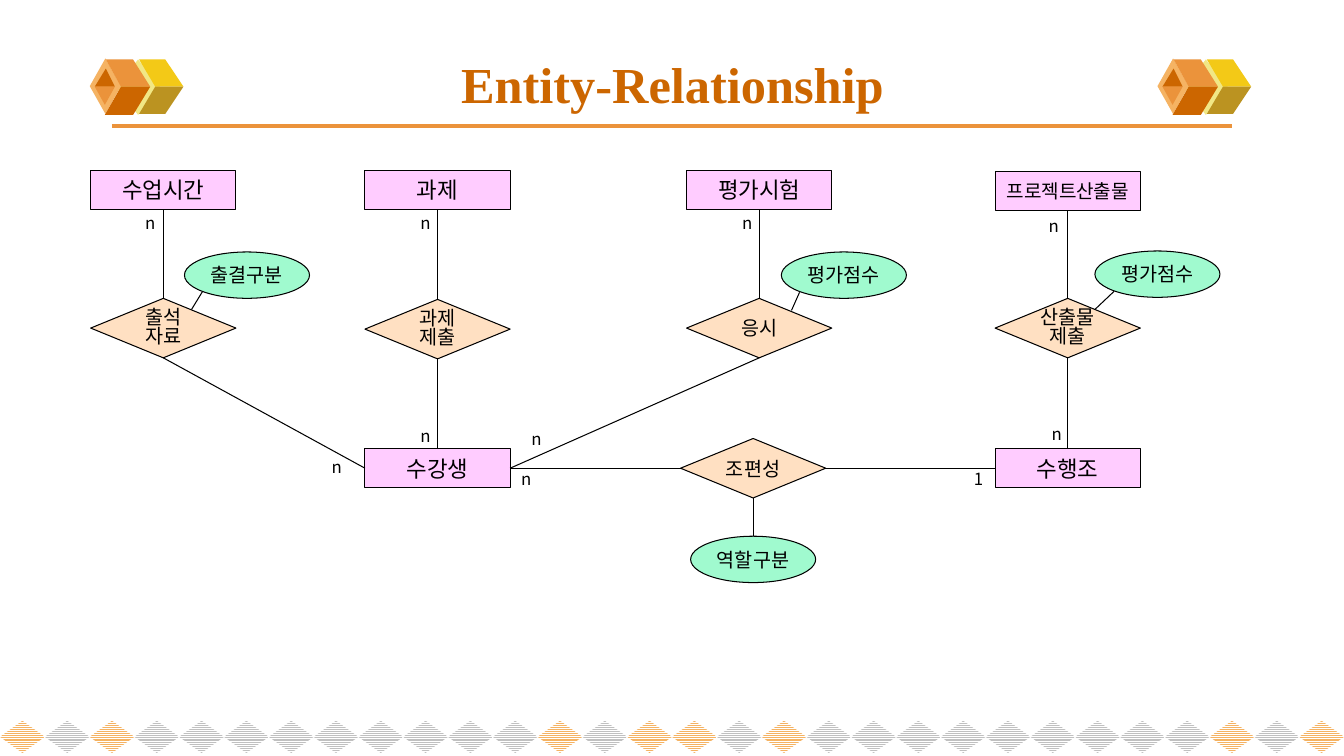
from dataclasses import dataclass

from lxml.etree import SubElement
from pptx import Presentation
from pptx.dml.color import RGBColor
from pptx.enum.dml import MSO_PATTERN
from pptx.enum.shapes import MSO_CONNECTOR, MSO_SHAPE
from pptx.enum.text import MSO_ANCHOR, PP_ALIGN
from pptx.oxml.ns import qn
from pptx.util import Inches, Pt


@dataclass(frozen=True)
class Theme:
    """Colours, fonts and type sizes of the deck."""
    title_font: str = "Times New Roman"
    body_font: str = "Noto Sans CJK KR"
    title_size: float = 36
    entity_size: float = 16
    long_entity_size: float = 13.6
    node_size: float = 14
    label_size: float = 12
    ink: str = "000000"
    paper: str = "FFFFFF"
    entity: str = "FFCCFF"
    relation: str = "FFE0C2"
    attribute: str = "A0FACF"
    rust: str = "CC6600"
    orange: str = "EB933B"
    apricot: str = "F5B363"
    cream: str = "F1E785"
    yellow: str = "F3C917"
    olive: str = "BB9321"
    grey: str = "C0C0C0"


@dataclass(frozen=True)
class Box:
    """A rectangle in inches."""
    left: float
    top: float
    width: float
    height: float

    def inside(self, left, top, width, height):
        """Return a box placed relative to this one."""
        return Box(self.left + left, self.top + top, width, height)

    def lengths(self):
        """Return the four lengths for python-pptx."""
        return [Inches(n) for n in (self.left, self.top, self.width, self.height)]


THEME = Theme()
TOP, LEFT, BOTTOM, RIGHT = range(4)


def rgb(colour):
    """Turn a hex string into a colour."""
    return RGBColor.from_string(colour)


def set_font(para, size, colour=THEME.ink, name=THEME.body_font):
    """Format the font of a paragraph, East Asian face included."""
    para.font.size = Pt(size)
    para.font.name = name
    para.font.color.rgb = rgb(colour)
    SubElement(para.font._element, qn("a:ea"), typeface=name)


def add_plain(page, kind, box, colour):
    """Add a flat shape without outline or shadow."""
    shape = page.shapes.add_shape(kind, *box.lengths())
    shape.shadow.inherit = False
    shape.fill.solid()
    shape.fill.fore_color.rgb = rgb(colour)
    shape.line.fill.background()
    return shape


def add_node(page, kind, box, colour, text, size):
    """Add an outlined diagram node with centred text."""
    node = add_plain(page, kind, box, colour)
    node.line.color.rgb = rgb(THEME.ink)
    node.line.width = Pt(0.75)
    frame = node.text_frame
    frame.word_wrap = False
    frame.vertical_anchor = MSO_ANCHOR.MIDDLE
    frame.margin_left = frame.margin_right = Inches(0.04)
    frame.margin_top = frame.margin_bottom = Inches(0.04)
    frame.text = text
    for para in frame.paragraphs:
        para.alignment = PP_ALIGN.CENTER
        set_font(para, size)
        if len(frame.paragraphs) > 1:
            para.line_spacing = 0.8
    return node


def add_line(page, start, end, colour=THEME.ink, width=0.75):
    """Draw a straight line between two points in inches."""
    line = page.shapes.add_connector(
        MSO_CONNECTOR.STRAIGHT, *[Inches(n) for n in (*start, *end)])
    line.line.color.rgb = rgb(colour)
    line.line.width = Pt(width)
    SubElement(line._element.spPr, qn("a:effectLst"))
    return line


def join(page, first, first_side, second, second_side):
    """Connect the sides of two nodes."""
    line = add_line(page, (0, 0), (1, 1))
    line.begin_connect(first, first_side)
    line.end_connect(second, second_side)


def add_cube(page, box):
    """Draw the double cube ornament."""
    def facet(colour, *points):
        corners = [(Inches(box.left + x), Inches(box.top + y)) for x, y in points]
        builder = page.shapes.build_freeform(*corners[0])
        builder.add_line_segments(corners[1:])
        shape = builder.convert_to_shape()
        shape.shadow.inherit = False
        shape.fill.solid()
        shape.fill.fore_color.rgb = rgb(colour)
        shape.line.fill.background()

    add_plain(page, MSO_SHAPE.DIAMOND, box.inside(0.26, 0.01, 0.44, 0.55), THEME.cream)
    facet(THEME.yellow, (0.65, 0.28), (0.93, 0.28), (0.75, 0.01), (0.49, 0.01))
    facet(THEME.olive, (0.65, 0.28), (0.93, 0.28), (0.75, 0.55), (0.49, 0.55))
    add_plain(page, MSO_SHAPE.DIAMOND, box.inside(0, 0, 0.31, 0.55), THEME.apricot)
    facet(THEME.orange, (0.31, 0.28), (0.6, 0.28), (0.43, 0.01), (0.16, 0.01))
    facet(THEME.rust, (0.31, 0.28), (0.6, 0.28), (0.43, 0.56), (0.15, 0.56))
    facet(THEME.rust, (0.16, 0.1), (0.05, 0.28), (0.25, 0.28))
    facet(THEME.orange, (0.15, 0.46), (0.05, 0.28), (0.25, 0.28))


def add_header(page, box):
    """Place the title, its rule and the two cubes."""
    rule = box.top + box.height
    add_line(page, (box.left + 0.44, rule), (box.left + 11.55, rule), THEME.orange, 2.25)
    for offset in (0.22, 10.81):
        add_cube(page, box.inside(offset, 0.18, 0.93, 0.56))
    title = page.shapes.title
    title.left, title.top, title.width, title.height = box.lengths()
    title.text_frame.text = "Entity-Relationship"
    title.text_frame.vertical_anchor = MSO_ANCHOR.MIDDLE
    para = title.text_frame.paragraphs[0]
    para.alignment = PP_ALIGN.CENTER
    para.font.bold = True
    set_font(para, THEME.title_size, THEME.rust, THEME.title_font)


def add_border(page, box, count=30, accents=(0, 2, 12, 14, 15, 17, 27, 29)):
    """Fill a strip with equally spaced hatched diamonds."""
    step = box.width / count
    for index in range(count):
        cell = box.inside(index * step, 0, step, box.height)
        diamond = add_plain(page, MSO_SHAPE.DIAMOND, cell, THEME.paper)
        diamond.fill.patterned()
        diamond.fill.pattern = MSO_PATTERN.NARROW_HORIZONTAL
        diamond.fill.fore_color.rgb = rgb(THEME.apricot if index in accents else THEME.grey)
        diamond.fill.back_color.rgb = rgb(THEME.paper)


def add_diagram(page, box):
    """Draw entities, relationships, attributes and cardinalities."""
    def entity(left, top, text, size=THEME.entity_size):
        place = box.inside(left, top, 1.44, 0.39)
        return add_node(page, MSO_SHAPE.RECTANGLE, place, THEME.entity, text, size)

    def relation(left, top, text):
        place = box.inside(left, top, 1.44, 0.59)
        return add_node(page, MSO_SHAPE.FLOWCHART_DECISION, place, THEME.relation,
                        text, THEME.node_size)

    def attribute(left, top, text):
        place = box.inside(left, top, 1.24, 0.46)
        return add_node(page, MSO_SHAPE.OVAL, place, THEME.attribute, text, THEME.node_size)

    lesson, task = entity(0, 0, "수업시간"), entity(2.72, 0, "과제")
    exam = entity(5.91, 0, "평가시험")
    product = entity(8.97, 0.01, "프로젝트산출물", THEME.long_entity_size)
    student, team = entity(2.72, 2.76, "수강생"), entity(8.97, 2.76, "수행조")
    attendance, task_hand_in = relation(0, 1.27, "출석\n자료"), relation(2.72, 1.28, "과제\n제출")
    sitting, product_hand_in = relation(5.91, 1.27, "응시"), relation(8.97, 1.27, "산출물\n제출")
    grouping = relation(5.85, 2.66, "조편성")
    role = attribute(5.95, 3.63, "역할구분")

    for first, first_side, second, second_side in (
            (lesson, BOTTOM, attendance, TOP), (attendance, BOTTOM, student, LEFT),
            (task, BOTTOM, task_hand_in, TOP), (task_hand_in, BOTTOM, student, TOP),
            (exam, BOTTOM, sitting, TOP), (sitting, BOTTOM, student, RIGHT),
            (product, BOTTOM, product_hand_in, TOP), (product_hand_in, BOTTOM, team, TOP),
            (grouping, RIGHT, team, LEFT), (grouping, LEFT, student, RIGHT),
            (grouping, BOTTOM, role, TOP)):
        join(page, first, first_side, second, second_side)

    for left, top, text, start, end in (
            (0.93, 0.81, "출결구분", (0.18, 0.39), (0.07, 0.57)),
            (6.85, 0.81, "평가점수", (0.18, 0.4), (0.1, 0.58)),
            (9.96, 0.8, "평가점수", (0.19, 0.4), (0, 0.58))):
        attribute(left, top, text)
        x, y = box.left + left, box.top + top
        add_line(page, (x + start[0], y + start[1]), (x + end[0], y + end[1]))

    for left, top, text in (
            (0.45, 0.37, "n"), (3.18, 0.37, "n"), (6.37, 0.37, "n"), (9.41, 0.4, "n"),
            (2.3, 2.79, "n"), (3.18, 2.48, "n"), (4.28, 2.51, "n"), (4.18, 2.91, "n"),
            (9.44, 2.46, "n"), (8.67, 2.91, "1")):
        label = page.shapes.add_textbox(*box.inside(left, top, 0.2, 0.3).lengths())
        frame = label.text_frame
        frame.word_wrap = False
        frame.margin_left, frame.margin_right = Inches(0.09), 0
        frame.text = text
        set_font(frame.paragraphs[0], THEME.label_size)


def main():
    """Build the deck and save it."""
    deck = Presentation()
    deck.slide_width, deck.slide_height = Inches(13.33), Inches(7.5)
    page = deck.slides.add_slide(deck.slide_layouts[5])
    add_border(page, Box(0, 7.15, 13.33, 0.32))
    add_header(page, Box(0.67, 0.4, 12, 0.85))
    add_diagram(page, Box(0.9, 1.69, 11.2, 4.09))
    deck.save("out.pptx")


if __name__ == "__main__":
    main()
